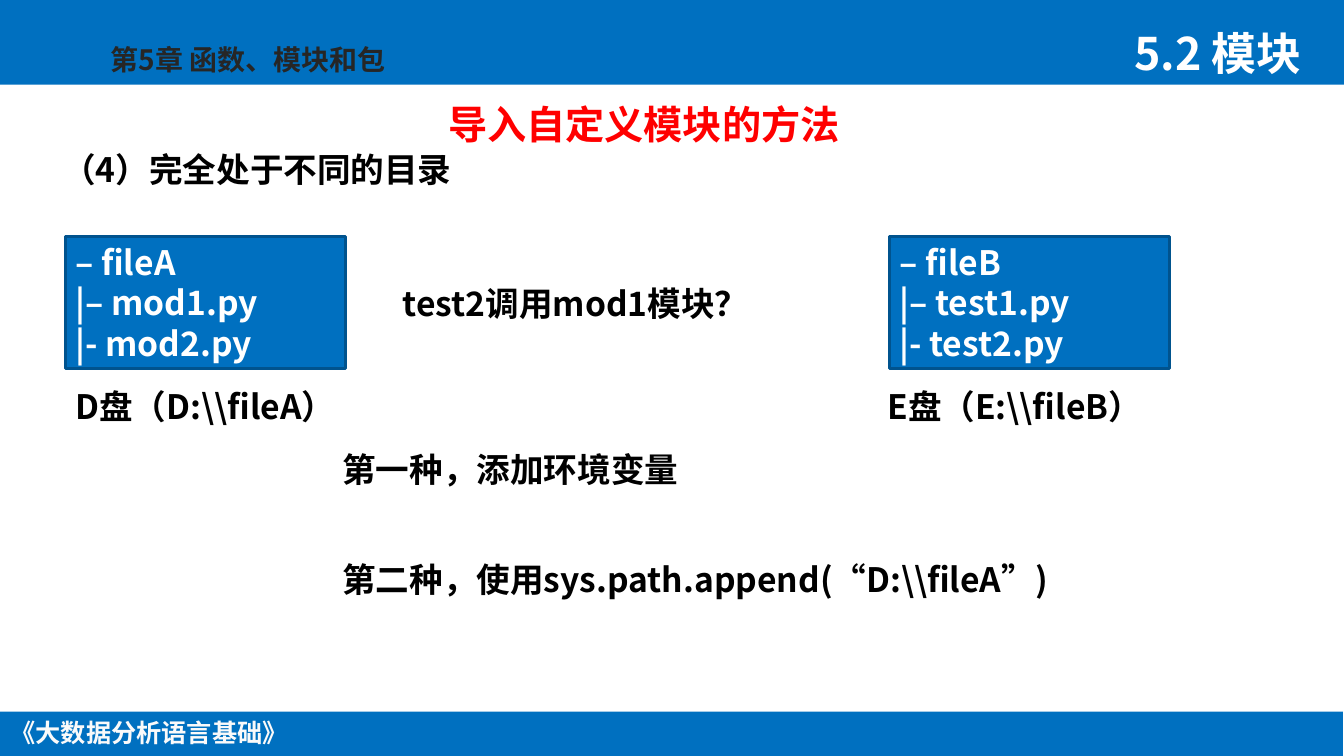
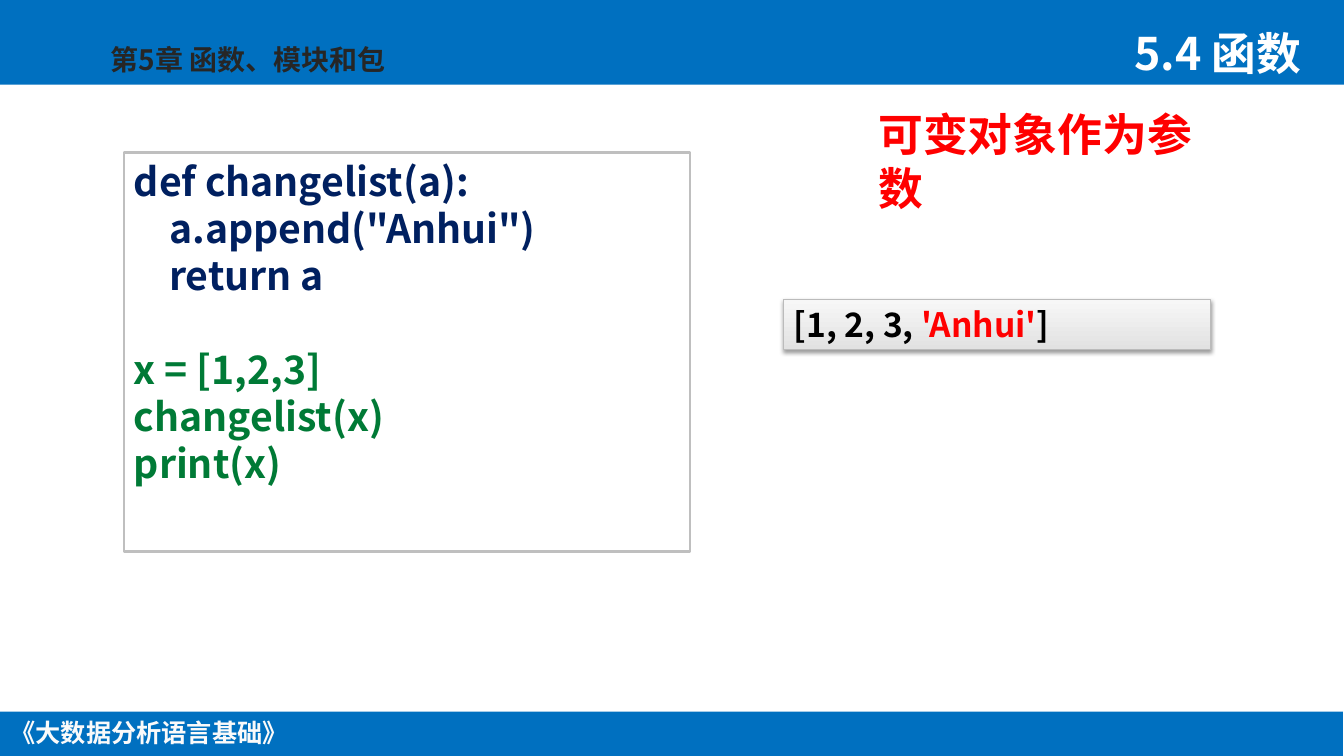
from pptx import Presentation
from pptx.dml.color import RGBColor
from pptx.enum.shapes import MSO_SHAPE
from pptx.enum.text import MSO_ANCHOR, PP_ALIGN
from pptx.oxml import parse_xml
from pptx.oxml.ns import qn
from pptx.util import Inches, Pt

RECTANGLE = MSO_SHAPE.RECTANGLE
TOP, MIDDLE = MSO_ANCHOR.TOP, MSO_ANCHOR.MIDDLE
LEFT, CENTER = PP_ALIGN.LEFT, PP_ALIGN.CENTER

FONT = "Noto Sans CJK SC"
BLUE = RGBColor(0x00, 0x70, 0xC0)
DARK_BLUE = RGBColor(0x00, 0x53, 0x8E)
NAVY = RGBColor(0x00, 0x20, 0x60)
GREEN = RGBColor(0x00, 0x7A, 0x36)
RED = RGBColor(0xFF, 0x00, 0x00)
BLACK = RGBColor(0x00, 0x00, 0x00)
CHARCOAL = RGBColor(0x26, 0x26, 0x26)
WHITE = RGBColor(0xFF, 0xFF, 0xFF)
OFF_WHITE = RGBColor(0xFA, 0xFA, 0xFA)
GRAY = RGBColor(0xBF, 0xBF, 0xBF)
MID_GRAY = RGBColor(0xBB, 0xBB, 0xBB)
PALE_GRAYS = (RGBColor(0xE2, 0xE2, 0xE2), RGBColor(0xF7, 0xF7, 0xF7))

SLIDE_W, SLIDE_H = 13.34, 7.5
SHADOW = (
    '<a:outerShdw xmlns:a="http://schemas.openxmlformats.org/drawingml/2006/main" '
    'blurRad="39370" dist="20320" dir="5400000" rotWithShape="0">'
    '<a:srgbClr val="000000"><a:alpha val="38000"/></a:srgbClr></a:outerShdw>'
)


def write(shape, *lines, size=24, color=BLACK, align=LEFT, anchor=TOP,
          wrap=True, line_spacing=None, gaps=None):
    frame = shape.text_frame
    frame.word_wrap = wrap
    frame.vertical_anchor = anchor
    for index, line in enumerate(lines):
        para = frame.paragraphs[0] if index == 0 else frame.add_paragraph()
        para.alignment = align
        if line_spacing:
            para.line_spacing = line_spacing
        if gaps and index in gaps:
            para.space_before = Pt(gaps[index])
        spans = [(line, color)] if isinstance(line, str) else line
        for text, span_color in spans:
            span = para.add_run()
            span.text = text
            span.font.name = FONT
            span.font.size = Pt(size)
            span.font.bold = True
            span.font.color.rgb = span_color
            east_asian = span.font._element.makeelement(qn("a:ea"), {"typeface": FONT})
            span.font._element.find(qn("a:latin")).addnext(east_asian)


def add_label(page, box, *lines, **style):
    label = page.shapes.add_textbox(*map(Inches, box))
    write(label, *lines, **style)


def add_panel(page, box, fill=None, line=None, line_width=2):
    panel = page.shapes.add_shape(RECTANGLE, *map(Inches, box))
    panel.shadow.inherit = False
    if fill is not None:
        panel.fill.solid()
        panel.fill.fore_color.rgb = fill
    if line is None:
        panel.line.fill.background()
    else:
        panel.line.color.rgb = line
        panel.line.width = Pt(line_width)
    return panel


def add_page(deck, section):
    page = deck.slides.add_slide(deck.slide_layouts[6])
    add_panel(page, (0, 0, SLIDE_W, 0.84), BLUE)
    add_panel(page, (-0.01, 7.06, SLIDE_W, 0.45), BLUE)
    add_label(page, (-0.01, 7.07, 2.98, 0.4), "《大数据分析语言基础》",
              size=18, color=OFF_WHITE, align=CENTER, wrap=False)
    add_label(page, (1, 0.37, 3.78, 0.44), "第5章 函数、模块和包",
              size=20, color=CHARCOAL)
    add_label(page, (11.16, 0.21, 2.21, 0.64), section, size=32, color=WHITE)
    return page


def add_folder(page, left, top, files, caption, caption_left):
    folder = add_panel(page, (left, top, 2.78, 1.31), BLUE, DARK_BLUE)
    write(folder, *files, color=WHITE)
    add_label(page, (caption_left, top + 1.43, 3.88, 0.5), caption)


def add_code(page, box):
    code = add_panel(page, box, WHITE, GRAY)
    function = ["def changelist(a):", '    a.append("Anhui")', "    return a"]
    calls = ["x = [1,2,3]", "changelist(x)", "print(x)"]
    lines = [[(text, NAVY)] for text in function] + [[(text, GREEN)] for text in calls]
    write(code, *lines, size=28, gaps={len(function): 33.6})


def add_result(page, box):
    result = add_panel(page, box, line=MID_GRAY, line_width=0.75)
    result.fill.gradient()
    result.fill.gradient_angle = 90
    for stop, color in zip(result.fill.gradient_stops, PALE_GRAYS):
        stop.color.rgb = color
    result._element.spPr.find(qn("a:effectLst")).append(parse_xml(SHADOW))
    write(result, [("[1, 2, 3, ", BLACK), ("'Anhui'", RED), ("]", BLACK)])


def build_import_page(deck):
    page = add_page(deck, "5.2 模块")
    add_label(page, (4.35, 0.76, 4.65, 0.94), "导入自定义模块的方法",
              size=28, color=RED, anchor=MIDDLE)
    add_label(page, (0.52, 1.27, 12.64, 1.23), "（4）完全处于不同的目录",
              line_spacing=1.4)
    add_folder(page, 0.65, 2.35, ["– fileA", "|– mod1.py", "|- mod2.py"],
               r"D盘（D:\\fileA）", 0.65)
    add_folder(page, 8.83, 2.35, ["– fileB", "|– test1.py", "|- test2.py"],
               r"E盘（E:\\fileB）", 8.71)
    add_label(page, (3.9, 2.76, 3.88, 0.5), "test2调用mod1模块？")
    add_label(page, (3.3, 4.4, 3.88, 0.5), "第一种，添加环境变量")
    add_label(page, (3.3, 5.5, 7.68, 0.5), r"第二种，使用sys.path.append(“D:\\fileA”)")


def build_argument_page(deck):
    page = add_page(deck, "5.4 函数")
    add_code(page, (1.23, 1.51, 5.62, 3.96))
    add_result(page, (7.78, 2.97, 4.24, 0.5))
    add_label(page, (8.62, 1.01, 3.6, 1.17), "可变对象作为参数", size=32, color=RED)


def main():
    deck = Presentation()
    deck.slide_width, deck.slide_height = Inches(SLIDE_W), Inches(SLIDE_H)
    build_import_page(deck)
    build_argument_page(deck)
    deck.save("out.pptx")


if __name__ == "__main__":
    main()
